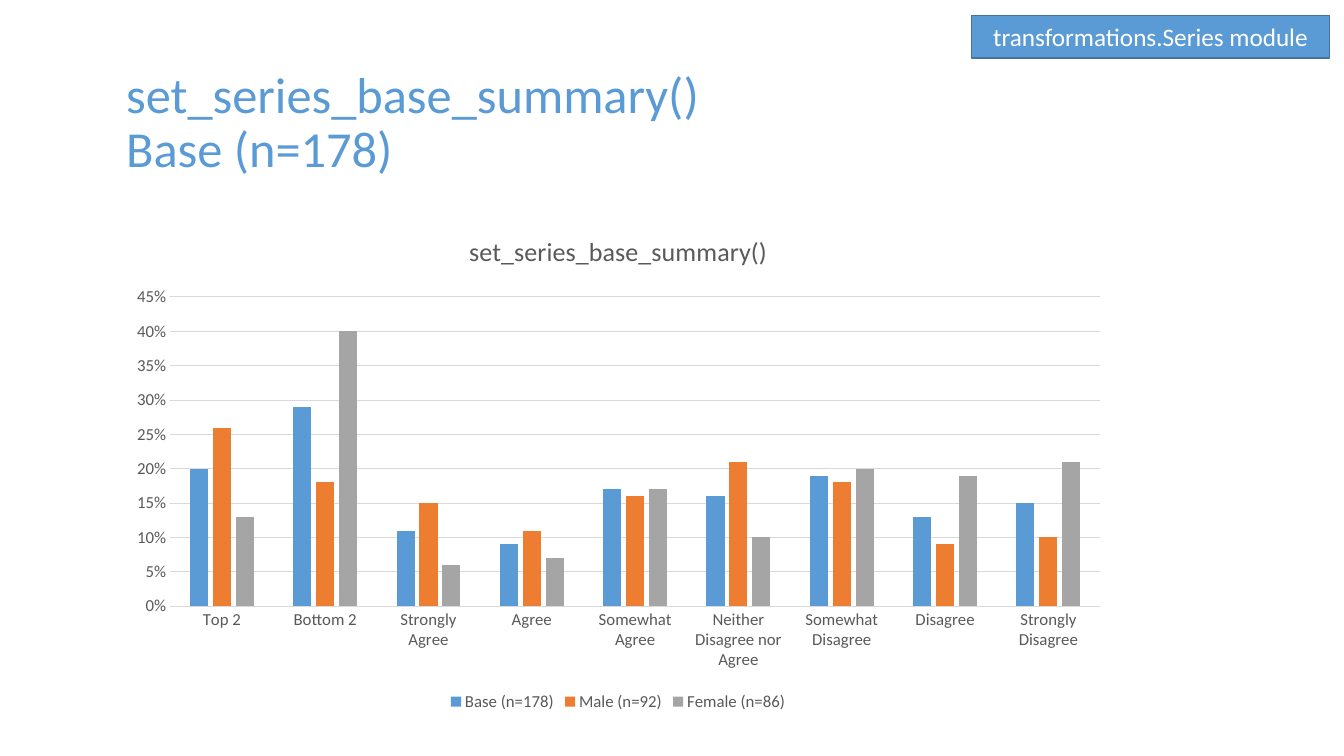
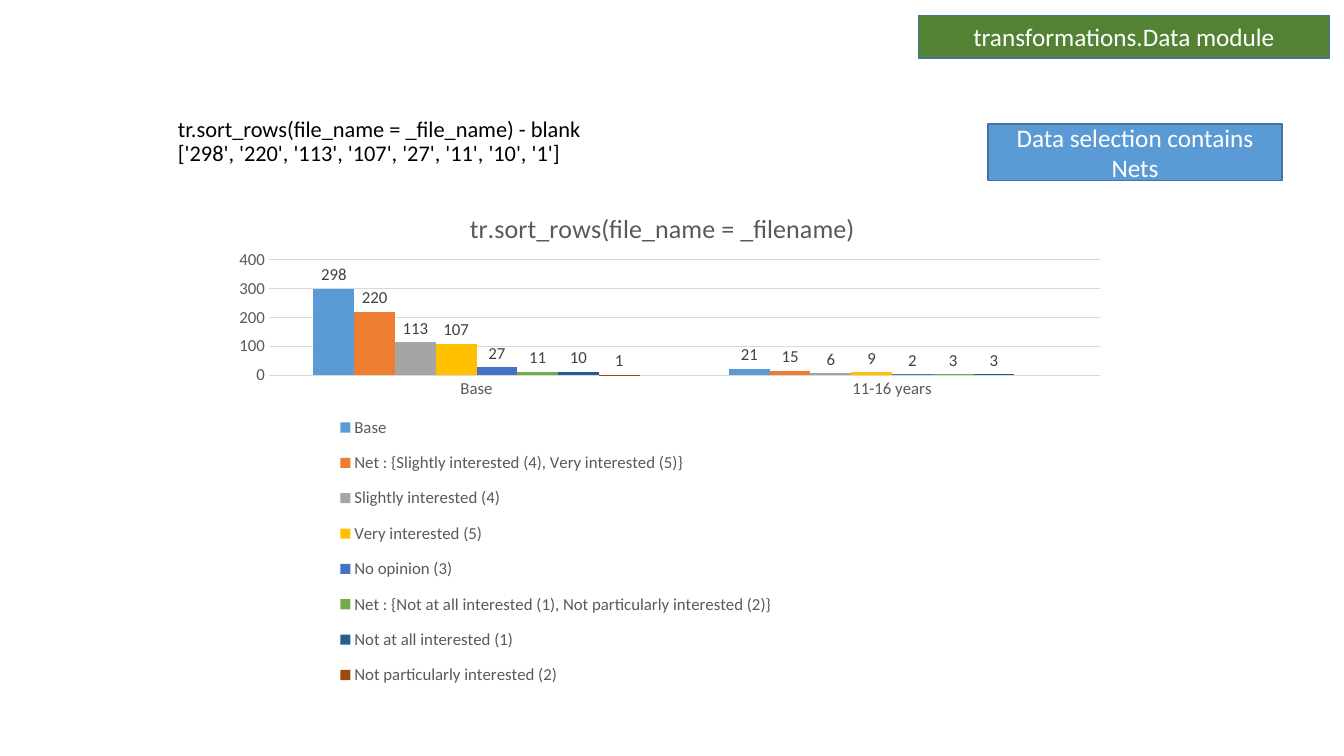
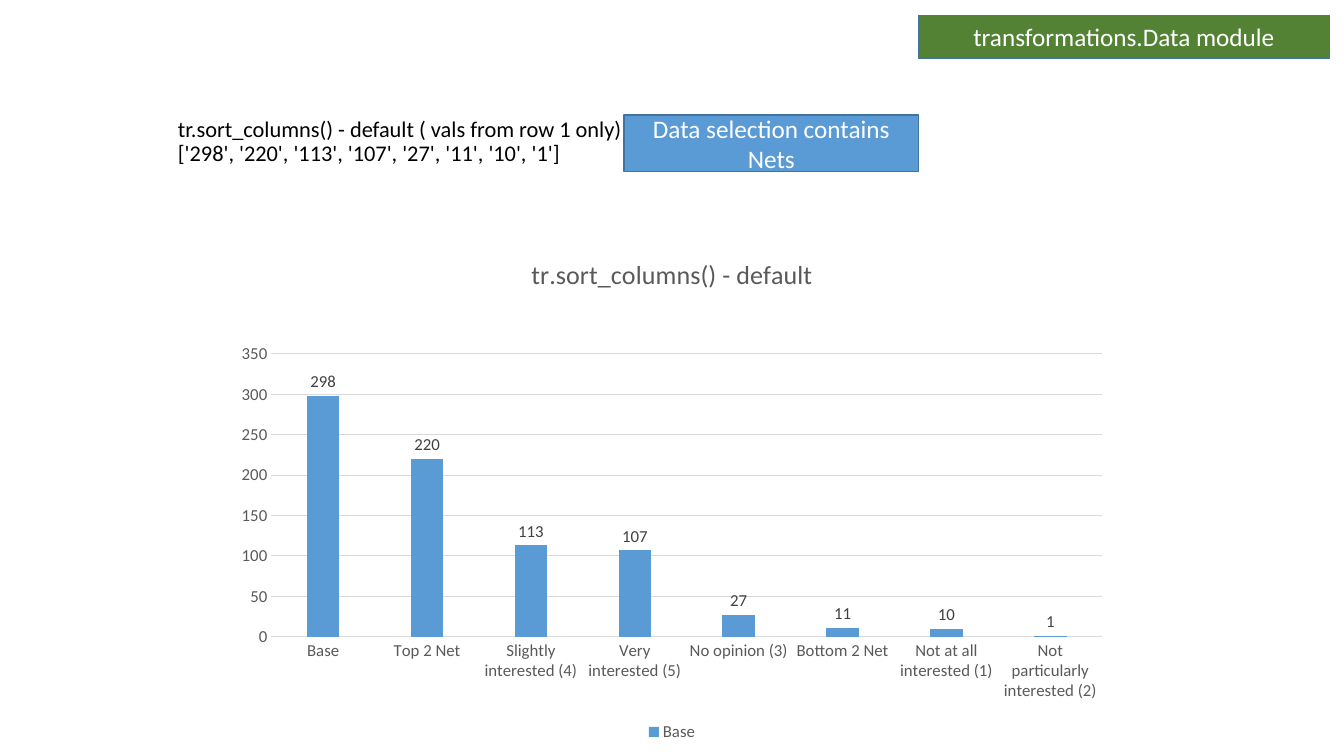
import pptx
import pptx.util
import pptx.dml.color
import pptx.chart.data
import pptx.enum.chart
import pptx.enum.shapes
import pptx.enum.text
import pptx.oxml

Pt = pptx.util.Pt
RGB = pptx.dml.color.RGBColor
ALIGN = pptx.enum.text.PP_ALIGN
ANCHOR = pptx.enum.text.MSO_ANCHOR
NONE = pptx.enum.chart.XL_TICK_MARK.NONE

# Shared style
FONT = "Calibri"
WHITE = RGB(0xFF, 0xFF, 0xFF)
BLACK = RGB(0x00, 0x00, 0x00)
BLUE = RGB(0x5B, 0x9B, 0xD5)
GREEN = RGB(0x54, 0x82, 0x35)
EDGE = RGB(0x43, 0x73, 0x9E)
GRAY = RGB(0x59, 0x59, 0x59)
DARK = RGB(0x40, 0x40, 0x40)
PALE = RGB(0xD9, 0xD9, 0xD9)
HUES = [
    BLUE,
    RGB(0xED, 0x7D, 0x31),
    RGB(0xA5, 0xA5, 0xA5),
    RGB(0xFF, 0xC0, 0x00),
    RGB(0x44, 0x72, 0xC4),
    RGB(0x70, 0xAD, 0x47),
    RGB(0x25, 0x5E, 0x91),
    RGB(0x9E, 0x48, 0x0E),
]
WIDE = pptx.util.Inches(13.33)
HIGH = pptx.util.Inches(7.5)

# Boxes are left, top, width, height in percent of the slide
RIGHT = 98.92
LEAD = (12.5, 12.53, 75, 10.13)
DATA = "transformations.Data module"


def place(box):
    left, top, width, height = box
    return (int(WIDE * left / 100), int(HIGH * top / 100),
            int(WIDE * width / 100), int(HIGH * height / 100))


def style(font, size, color):
    font.name, font.size, font.bold = FONT, Pt(size), False
    font.color.rgb = color


def write(shape, text, size=18, color=WHITE, align=ALIGN.CENTER,
          anchor=ANCHOR.MIDDLE, space=1.0):
    frame = shape.text_frame
    frame.word_wrap = True
    frame.vertical_anchor = anchor
    para = frame.paragraphs[0]
    para.text = text
    para.alignment = align
    para.line_spacing = space
    for run in para.runs:
        style(run.font, size, color)


def panel(slide, box, text, fill=BLUE):
    kind = pptx.enum.shapes.MSO_SHAPE.RECTANGLE
    shape = slide.shapes.add_shape(kind, *place(box))
    shape.shadow.inherit = False
    shape.fill.solid()
    shape.fill.fore_color.rgb = fill
    shape.line.color.rgb = EDGE
    shape.line.width = Pt(1)
    write(shape, text)


def badge(slide, text, width, fill):
    """Module tag that ends at the right margin."""
    panel(slide, (RIGHT - width, 2.05, width, 5.6), text, fill)


def note(slide, left, top):
    panel(slide, (left, top, 21.9, 7.47), "Data selection contains Nets")


def title(slide, box, text, size=16, color=BLACK):
    shape = slide.shapes.add_textbox(*place(box))
    write(shape, text, size=size, color=color, align=ALIGN.LEFT,
          anchor=ANCHOR.BOTTOM, space=0.9)


def layout(parent, index, inner=False, **spots):
    """Fix a chart part at shares of the chart's box."""
    for old in parent.xpath("c:layout"):
        parent.remove(old)
    uri = "http://schemas.openxmlformats.org/drawingml/2006/chart"
    rows = '<c:layoutTarget val="inner"/>' if inner else ""
    rows += '<c:xMode val="edge"/><c:yMode val="edge"/>'
    rows += "".join(f'<c:{key} val="{val}"/>' for key, val in spots.items())
    parent.insert(index, pptx.oxml.parse_xml(
        f'<c:layout xmlns:c="{uri}"><c:manualLayout>{rows}'
        "</c:manualLayout></c:layout>"))


def columns(slide, box, head, start, cats, series, plot, top, step,
            form="0", overlap=0, labels=True, keys=None):
    data = pptx.chart.data.CategoryChartData(number_format=form)
    data.categories = cats
    for name, vals in series:
        data.add_series(name, vals)
    kind = pptx.enum.chart.XL_CHART_TYPE.COLUMN_CLUSTERED
    chart = slide.shapes.add_chart(kind, *place(box), data).chart
    style(chart.font, 10, BLACK)

    # Heading and legend
    chart.has_title = True
    frame = chart.chart_title.text_frame
    frame.text = head
    style(frame.paragraphs[0].runs[0].font, 18.6, GRAY)
    chart.has_legend = True
    chart.legend.position = pptx.enum.chart.XL_LEGEND_POSITION.BOTTOM
    chart.legend.include_in_layout = False
    style(chart.legend.font, 12, GRAY)

    # Axes
    for axis in (chart.category_axis, chart.value_axis):
        axis.major_tick_mark = axis.minor_tick_mark = NONE
        style(axis.tick_labels.font, 12, GRAY)
    line = chart.category_axis.format.line
    line.color.rgb, line.width = PALE, Pt(0.75)
    axis = chart.value_axis
    axis.format.line.fill.background()
    axis.minimum_scale, axis.maximum_scale, axis.major_unit = 0, top, step
    axis.tick_labels.number_format = form
    axis.tick_labels.number_format_is_linked = False
    axis.has_major_gridlines = True
    line = axis.major_gridlines.format.line
    line.color.rgb, line.width = PALE, Pt(0.75)

    # Bars
    bars = chart.plots[0]
    bars.gap_width, bars.overlap = 219, overlap
    bars.vary_by_categories = False
    for item, hue in zip(bars.series, HUES):
        item.format.fill.solid()
        item.format.fill.fore_color.rgb = hue
        if labels:
            tags = item.data_labels
            tags.show_value = True
            tags.position = pptx.enum.chart.XL_LABEL_POSITION.OUTSIDE_END
            tags.number_format, tags.number_format_is_linked = form, False
            style(tags.font, 12, DARK)

    # Fixed places for the heading, the plot and the legend
    root = chart.element
    layout(root.xpath("c:chart/c:title")[0], 1, x=start, y=0.029)
    layout(root.xpath("c:chart/c:plotArea")[0], 0, inner=True,
           **dict(zip("xywh", plot)))
    if keys:
        layout(root.xpath("c:chart/c:legend")[0], 1,
               **dict(zip("xywh", keys)))


def series_slide(slide):
    badge(slide, "transformations.Series module", 26.63, BLUE)
    title(slide, (8.65, 11.6, 76.97, 12.67),
          "set_series_base_summary()\vBase (n=178)", size=36, color=BLUE)
    columns(
        slide, (8.63, 28.27, 74.72, 66.4), "set_series_base_summary()", 0.347,
        ["Top 2", "Bottom 2", "Strongly Agree", "Agree", "Somewhat Agree",
         "Neither Disagree nor Agree", "Somewhat Disagree", "Disagree",
         "Strongly Disagree"],
        [("Base (n=178)",
          [0.2, 0.29, 0.11, 0.09, 0.17, 0.16, 0.19, 0.13, 0.15]),
         ("Male (n=92)",
          [0.26, 0.18, 0.15, 0.11, 0.16, 0.21, 0.18, 0.09, 0.1]),
         ("Female (n=86)",
          [0.13, 0.4, 0.06, 0.07, 0.17, 0.1, 0.2, 0.19, 0.21])],
        plot=(0.054, 0.166, 0.926, 0.616), top=0.45, step=0.05,
        form="0%", overlap=-27, labels=False)


def rows_slide(slide):
    title(slide, LEAD, "tr.sort_rows(file_name = _file_name) - blank\v"
          "['298', '220', '113', '107', '27', '11', '10', '1']")
    badge(slide, DATA, 30.6, GREEN)
    columns(
        slide, (15.93, 25.13, 66.7, 68.8),
        "tr.sort_rows(file_name = _filename)", 0.28,
        ["Base", "11-16 years"],
        [("Base", [298, 21]),
         ("Net : {Slightly interested (4), Very interested (5)}", [220, 15]),
         ("Slightly interested (4)", [113, 6]),
         ("Very interested (5)", [107, 9]),
         ("No opinion (3)", [27, 2]),
         ("Net : {Not at all interested (1), "
          "Not particularly interested (2)}", [11, 3]),
         ("Not at all interested (1)", [10, 3]),
         ("Not particularly interested (2)", [1, None])],
        plot=(0.061, 0.134, 0.927, 0.222), top=400, step=100,
        keys=(0.119, 0.408, 0.525, 0.574))
    note(slide, 73.5, 16.4)


def cols_slide(slide):
    title(slide, LEAD, "tr.sort_columns() - default ( vals from row 1 only)\v"
          "['298', '220', '113', '107', '27', '11', '10', '1']")
    badge(slide, DATA, 30.6, GREEN)
    columns(
        slide, (16.65, 31.33, 66.7, 67.33),
        "tr.sort_columns() - default", 0.338,
        ["Base", "Top 2 Net", "Slightly interested (4)",
         "Very interested (5)", "No opinion (3)", "Bottom 2 Net",
         "Not at all interested (1)", "Not particularly interested (2)"],
        [("Base", [298, 220, 113, 107, 27, 11, 10, 1])],
        plot=(0.053, 0.23, 0.927, 0.556), top=350, step=50)
    note(slide, 46.44, 15.2)


def main():
    deck = pptx.Presentation()
    deck.slide_width, deck.slide_height = WIDE, HIGH
    for build in (series_slide, rows_slide, cols_slide):
        build(deck.slides.add_slide(deck.slide_layouts[6]))
    deck.save("out.pptx")


if __name__ == "__main__":
    main()
